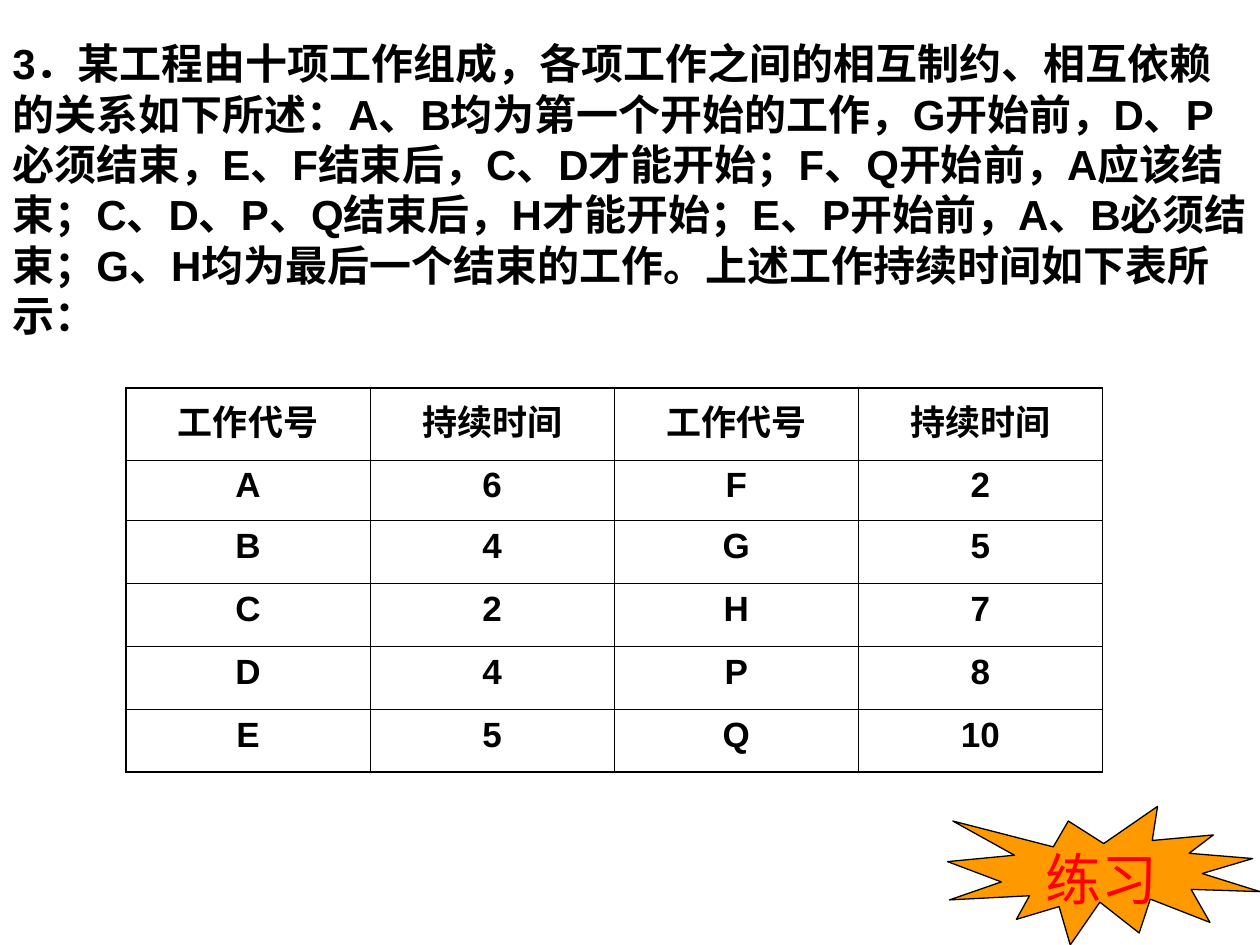
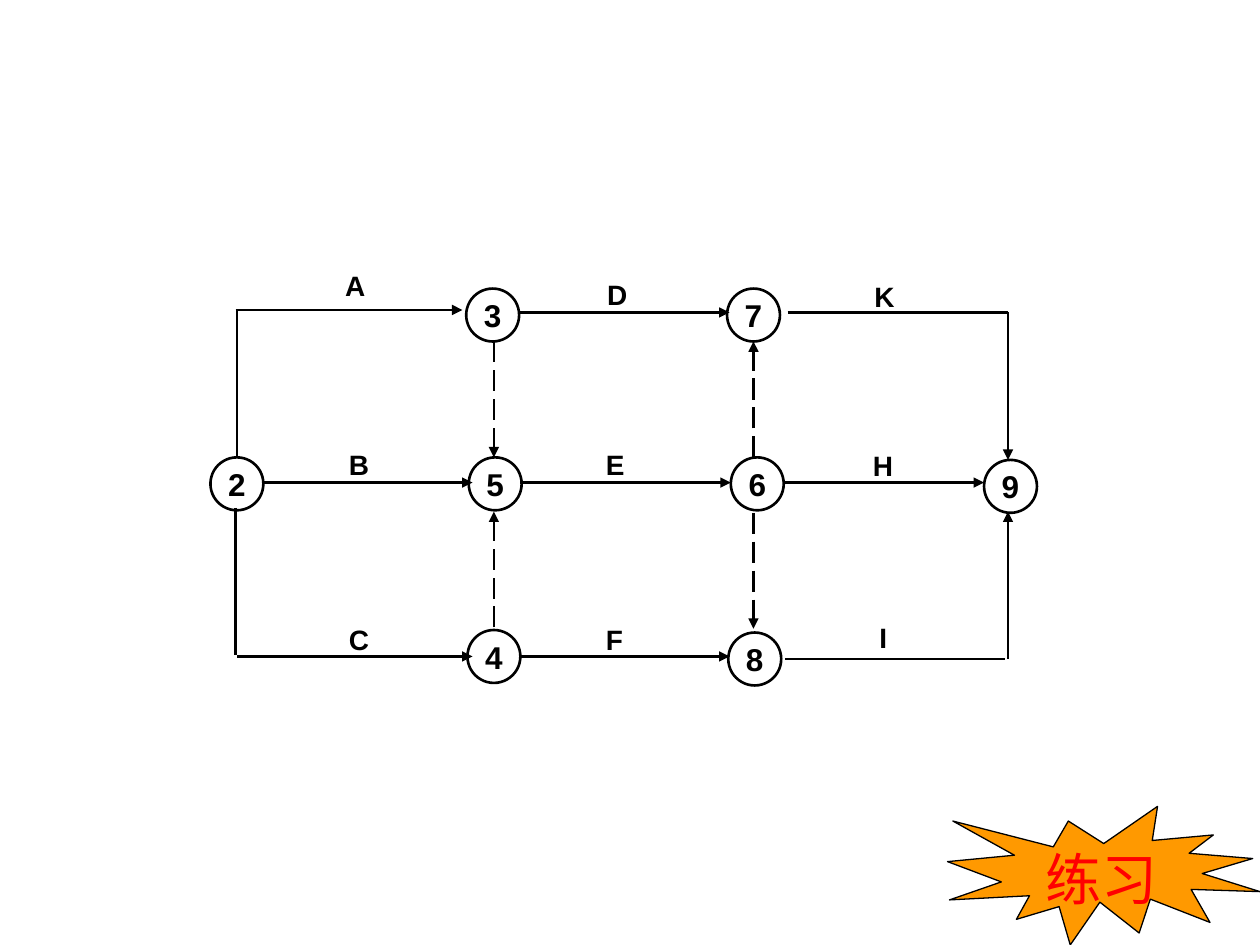
"""Build two exercise slides: a work-duration table and an arrow network."""
from lxml import etree
from pptx import Presentation
from pptx import util as u
from pptx.dml.color import RGBColor
from pptx.enum import dml, shapes, text
from pptx.oxml import ns

COLOURS = {"ink": "000000", "burst": "FF9900", "badge": "FF0000"}
FONT = "Arial"
NODE_SIZE = 0.42
THIN, THICK = 0.45, 1.08

QUESTION = (
    "3．某工程由十项工作组成，各项工作之间的相互制约、相互依赖的关系如下所述："
    "A、B均为第一个开始的工作，G开始前，D、P必须结束，E、F结束后，C、D才能开始；"
    "F、Q开始前，A应该结束；C、D、P、Q结束后，H才能开始；E、P开始前，A、B必须结束；"
    "G、H均为最后一个结束的工作。上述工作持续时间如下表所示："
)
DURATIONS = [
    ("工作代号", "持续时间", "工作代号", "持续时间"),
    ("A", "6", "F", "2"),
    ("B", "4", "G", "5"),
    ("C", "2", "H", "7"),
    ("D", "4", "P", "8"),
    ("E", "5", "Q", "10"),
]
ROW_HEIGHTS = [0.57, 0.48, 0.5, 0.5, 0.5, 0.5]

NODES = {
    "2": (1.67, 3.63), "3": (3.7, 2.29), "4": (3.71, 5), "5": (3.72, 3.63),
    "6": (5.8, 3.63), "7": (5.77, 2.29), "8": (5.78, 5.02), "9": (7.81, 3.65),
}
WORK_LABELS = {
    "A": (2.64, 2.08), "B": (2.67, 3.5), "C": (2.67, 4.89),
    "D": (4.72, 2.15), "E": (4.71, 3.5), "F": (4.71, 4.89),
    "K": (6.84, 2.17), "H": (6.83, 3.51), "I": (6.88, 4.88),
}
WORK_ARROWS = [
    (1.87, 2.46, 3.67, 2.46), (2.08, 3.83, 3.75, 3.83), (1.88, 5.21, 3.75, 5.21),
    (4.12, 2.48, 5.79, 2.48), (4.13, 3.83, 5.8, 3.83), (4.13, 5.21, 5.79, 5.21),
    (6.23, 3.83, 7.81, 3.83), (8, 2.48, 8, 3.65), (8, 5.23, 8, 4.06),
]
DUMMY_ARROWS = [
    (3.92, 2.71, 3.92, 3.63), (3.92, 4.98, 3.92, 4.06),
    (5.98, 3.63, 5.98, 2.71), (5.98, 4.07, 5.98, 4.99),
]
PLAIN_LINES = [
    (1.88, 3.63, 1.88, 2.46), (1.87, 4.03, 1.87, 5.2),
    (6.25, 2.48, 8, 2.48), (6.23, 5.23, 7.98, 5.23),
]


def colour(name):
    """Return the named colour."""
    return RGBColor.from_string(COLOURS[name])


def write(frame, words, size=18, bold=True, ink="ink", align=text.PP_ALIGN.LEFT):
    """Put one formatted paragraph into a text frame."""
    para = frame.paragraphs[0]
    para.alignment = align
    span = para.add_run()
    span.text = words
    span.font.name = FONT
    span.font.size = u.Pt(size)
    span.font.bold = bold
    span.font.color.rgb = colour(ink)


def add_text(page, words, left, top, width, height, **style):
    """Add a wrapping text box."""
    box = page.shapes.add_textbox(*map(u.Inches, (left, top, width, height)))
    box.text_frame.word_wrap = True
    write(box.text_frame, words, **style)


def add_outlined(page, preset, left, top, width, height, weight, fill=None):
    """Add a preset shape with a dark outline and an optional fill."""
    shape = page.shapes.add_shape(preset, *map(u.Inches, (left, top, width, height)))
    shape.shadow.inherit = False
    if fill:
        shape.fill.solid()
        shape.fill.fore_color.rgb = colour(fill)
    else:
        shape.fill.background()
    shape.line.color.rgb = colour("ink")
    shape.line.width = u.Pt(weight)
    return shape


def add_badge(page):
    """Add the exercise burst in the lower right corner."""
    add_outlined(page, shapes.MSO_SHAPE.EXPLOSION1, 7.52, 6.4, 2.48, 1.1, 0.75, "burst")
    add_text(page, "练习", 8.2, 6.65, 1.12, 0.64, size=32, bold=False, ink="badge")


def add_node(page, number, left, top):
    """Add a numbered event circle."""
    node = add_outlined(page, shapes.MSO_SHAPE.OVAL, left, top, NODE_SIZE, NODE_SIZE, 1.5)
    frame = node.text_frame
    frame.margin_left = frame.margin_right = frame.margin_top = frame.margin_bottom = 0
    frame.vertical_anchor = text.MSO_ANCHOR.MIDDLE
    frame.word_wrap = False
    write(frame, number, align=text.PP_ALIGN.CENTER)


def add_line(page, ends, arrow=True, dashed=False):
    """Add a straight line, with an arrowhead at its end if wanted."""
    line = page.shapes.add_connector(shapes.MSO_CONNECTOR.STRAIGHT, *map(u.Inches, ends))
    line.line.color.rgb = colour("ink")
    line.line.width = u.Pt(1.5)
    if dashed:
        line.line.dash_style = dml.MSO_LINE.LONG_DASH
    if arrow:
        etree.SubElement(line.line._get_or_add_ln(), ns.qn("a:tailEnd"), type="triangle")
    etree.SubElement(line._element.spPr, ns.qn("a:effectLst"))


def set_border(cell, side, weight):
    """Draw one side of a cell."""
    edge = etree.SubElement(cell._tc.get_or_add_tcPr(), ns.qn(f"a:ln{side}"), w=str(u.Pt(weight)))
    fill = etree.SubElement(edge, ns.qn("a:solidFill"))
    etree.SubElement(fill, ns.qn("a:srgbClr"), val=COLOURS["ink"])


def add_grid(page, rows, heights, left, top, width):
    """Add a centred table with a heavier outer frame."""
    last_row, last_column = len(rows) - 1, len(rows[0]) - 1
    grid = page.shapes.add_table(
        len(rows), len(rows[0]), *map(u.Inches, (left, top, width, sum(heights)))
    ).table
    grid.first_row = grid.horz_banding = False
    for r, values in enumerate(rows):
        grid.rows[r].height = u.Inches(heights[r])
        for c, value in enumerate(values):
            cell = grid.cell(r, c)
            write(cell.text_frame, value, size=20, align=text.PP_ALIGN.CENTER)
            outer = {"L": c == 0, "R": c == last_column, "T": r == 0, "B": r == last_row}
            for side, is_outer in outer.items():
                set_border(cell, side, THICK if is_outer else THIN)
            cell.fill.background()


def build_question(page):
    """Fill the slide with the question and its table."""
    add_badge(page)
    add_text(page, QUESTION, 0, 0.25, 10, 2.5, size=24)
    add_grid(page, DURATIONS, ROW_HEIGHTS, 1, 3.08, 7.75)


def build_network(page):
    """Fill the slide with the network diagram."""
    add_badge(page)
    for ends in PLAIN_LINES:
        add_line(page, ends, arrow=False)
    for ends in WORK_ARROWS:
        add_line(page, ends)
    for ends in DUMMY_ARROWS:
        add_line(page, ends, dashed=True)
    for number, place in NODES.items():
        add_node(page, number, *place)
    for work, place in WORK_LABELS.items():
        add_text(page, work, *place, 0.45, 0.37, size=16)


def main():
    """Build and save the deck."""
    deck = Presentation()
    deck.slide_width, deck.slide_height = u.Inches(10), u.Inches(7.5)
    for build in (build_question, build_network):
        build(deck.slides.add_slide(deck.slide_layouts[6]))
    deck.save("out.pptx")


if __name__ == "__main__":
    main()
